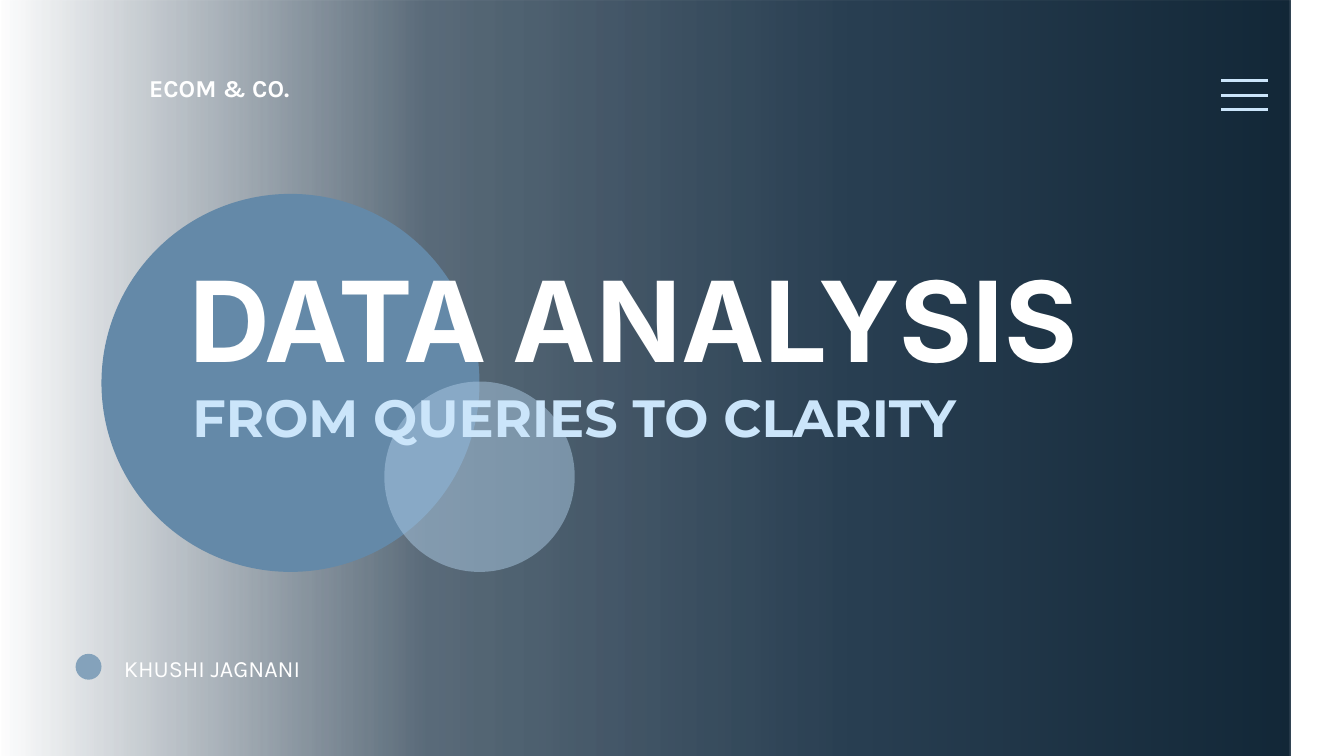
from dataclasses import dataclass

from lxml import etree
from pptx import Presentation
from pptx.dml.color import RGBColor
from pptx.enum.shapes import MSO_CONNECTOR, MSO_SHAPE
from pptx.enum.text import MSO_ANCHOR, MSO_AUTO_SIZE, PP_ALIGN
from pptx.oxml.ns import qn
from pptx.util import Pt

PX = 9525  # EMU per px, 96 px to the inch
RECT, OVAL = MSO_SHAPE.RECTANGLE, MSO_SHAPE.OVAL
STRAIGHT = MSO_CONNECTOR.STRAIGHT
TOP, LEFT, NO_FIT = MSO_ANCHOR.TOP, PP_ALIGN.LEFT, MSO_AUTO_SIZE.NONE
TITLE_ONLY = 5


@dataclass(frozen=True)
class Theme:
    white: str = "FFFFFF"
    ice: str = "CBE5FA"
    pale: str = "ACCAE4"
    steel: str = "6489A8"
    mist: str = "84A2BB"
    slate: str = "283E51"
    navy: str = "122737"
    title: float = 119.7
    subtitle: float = 56.1
    brand: float = 26
    author: float = 25


theme = Theme()


def put_text(sp, text, *, box, font, size, color, leading, bold=False):
    """Place a title or text box at box (px) and fill it with one line of text."""
    sp.left, sp.top, sp.width, sp.height = (v * PX for v in box)
    tf = sp.text_frame
    tf.margin_left = tf.margin_top = tf.margin_right = tf.margin_bottom = 0
    tf.word_wrap, tf.auto_size, tf.vertical_anchor = True, NO_FIT, TOP
    p = tf.paragraphs[0]
    p.alignment, p.line_spacing, p.space_before = LEFT, Pt(leading), Pt(0)
    r = p.add_run()
    r.text = text
    r.font.name, r.font.size, r.font.bold = font, Pt(size), bold
    r.font.color.rgb = RGBColor.from_string(color)


def set_alpha(color_el, percent):
    etree.SubElement(color_el, qn("a:alpha"), val=str(percent * 1000))


prs = Presentation()
prs.slide_width, prs.slide_height = 1920 * PX, 1080 * PX
s = prs.slides.add_slide(prs.slide_layouts[TITLE_ONLY])

# Backdrop fading from clear to navy
backdrop = s.shapes.add_shape(RECT, 0, 0, 1844 * PX, 1121 * PX)
backdrop.shadow.inherit = False
backdrop.line.fill.background()
backdrop.fill.gradient()
backdrop.fill.gradient_angle = 0
stops = backdrop.element.spPr.find(".//" + qn("a:gsLst"))
for old in list(stops):
    stops.remove(old)
for pos, color, alpha in [(0, theme.slate, 0), (33, theme.slate, 76),
                          (67, theme.slate, 100), (100, theme.navy, 100)]:
    stop = etree.SubElement(stops, qn("a:gs"), pos=str(pos * 1000))
    set_alpha(etree.SubElement(stop, qn("a:srgbClr"), val=color), alpha)

# Circles: left, top, diameter, colour, opacity
for x, y, d, color, alpha in [(145, 277, 540, theme.steel, 100),
                              (549, 545, 272, theme.pale, 50),
                              (108, 934, 37, theme.mist, 100)]:
    circle = s.shapes.add_shape(OVAL, x * PX, y * PX, d * PX, d * PX)
    circle.shadow.inherit = False
    circle.line.fill.background()
    circle.fill.solid()
    circle.fill.fore_color.rgb = RGBColor.from_string(color)
    if alpha < 100:
        set_alpha(circle.element.spPr.find(".//" + qn("a:srgbClr")), alpha)

# Menu icon
for y in (115, 136, 156):
    bar = s.shapes.add_connector(STRAIGHT, 1745 * PX, y * PX, 1812 * PX, y * PX)
    bar.line.color.rgb = RGBColor.from_string(theme.ice)
    bar.line.width = Pt(3)
    etree.SubElement(bar.element.spPr, qn("a:effectLst"))

# Text, with the title brought in front of the circles
title = s.shapes.title
title.element.getparent().append(title.element)
put_text(title, "DATA ANALYSIS", box=(270, 326, 1351, 215), font="Inter",
         size=theme.title, color=theme.white, leading=167.6, bold=True)

for text, box, font, size, color, leading, bold in [
    ("FROM QUERIES TO CLARITY", (275, 535, 1091, 101), "Montserrat",
     theme.subtitle, theme.ice, 78.6, True),
    ("ECOM & CO.", (213, 98, 330, 47), "Karla",
     theme.brand, theme.white, 36.4, True),
    ("KHUSHI JAGNANI", (177, 928, 495, 44), "Karla",
     theme.author, theme.white, 35, False),
]:
    put_text(s.shapes.add_textbox(0, 0, 0, 0), text, box=box, font=font,
             size=size, color=color, leading=leading, bold=bold)

prs.save("out.pptx")
